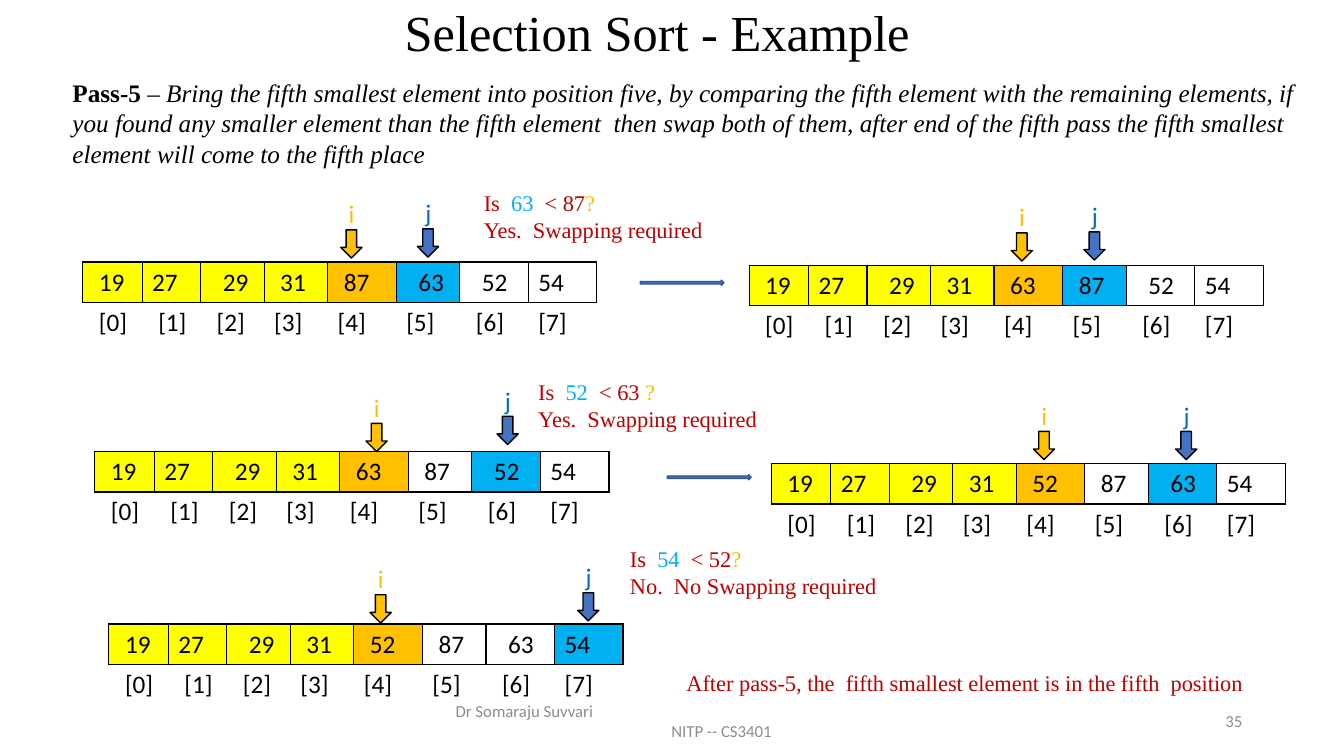
from lxml import etree
from pptx import Presentation
from pptx.dml.color import RGBColor
from pptx.enum.shapes import MSO_SHAPE
from pptx.enum.text import MSO_ANCHOR, MSO_AUTO_SIZE, PP_ALIGN
from pptx.oxml.ns import qn
from pptx.util import Inches, Pt

DOWN, RIGHT = MSO_SHAPE.DOWN_ARROW, MSO_SHAPE.RIGHT_ARROW
MIDDLE, NO_FIT = MSO_ANCHOR.MIDDLE, MSO_AUTO_SIZE.NONE
CENTER, END = PP_ALIGN.CENTER, PP_ALIGN.RIGHT

SERIF, SANS = "Times New Roman", "Calibri"
BLACK, WHITE, GREY = "000000", "FFFFFF", "8C8C8C"
YELLOW, ORANGE, SKY = "FFFF00", "FFC000", "00B0F0"
BLUE, NAVY, AZURE, RED = "4472C4", "325491", "0070C0", "C00000"

WIDTHS = [0.59, 0.58, 0.63, 0.63, 0.68, 0.63, 0.68, 0.68]
ROW = 0.4
SPACE = 0.06  # width of one indent step inside a cell
SMALL = 4     # position that pass five fills
VALUE_STEPS = [1, 0, 2, 1, 1, 1, 2, 0]
INDEX_STEPS = [1, 1, 1, 0, 0, 0, 1, 0]

# left, top, values from position four on, j, tip of i, tip of j
ARRAYS = [
    (0.82, 2.6, [87, 63, 52, 54], 5, (3.38, 2.28), (4.14, 2.27)),
    (7.43, 2.63, [63, 87, 52, 54], 5, (10.03, 2.31), (10.75, 2.3)),
    (0.94, 4.48, [63, 87, 52, 54], 6, (3.63, 4.2), (4.93, 4.13)),
    (7.65, 4.6, [52, 87, 63, 54], 6, (10.25, 4.28), (11.66, 4.28)),
    (1.08, 6.19, [52, 87, 63, 54], 7, (3.67, 5.9), (5.73, 5.88)),
]
# left, top, number at j, number at i, answer
CHECKS = [
    (4.7, 1.83, "63", "87", "Yes.  Swapping required"),
    (5.24, 3.7, "52", "63 ", "Yes.  Swapping required"),
    (6.15, 5.36, "54", "52", "No.  No Swapping required"),
]
SWAPS = [(6.35, 2.78), (6.62, 4.71)]
GOAL = ("Bring the fifth smallest element into position five, by comparing the "
        "fifth element with the remaining elements, if you found any smaller "
        "element than the fifth element  then swap both of them, after end of "
        "the fifth pass the fifth smallest element will come to the fifth place")


def color(text):
    return RGBColor.from_string(text)


def add_run(para, text, tint=BLACK, **font):
    run = para.add_run()
    run.text = text
    run.font.color.rgb = color(tint)
    for name, value in font.items():
        setattr(run.font, name, value)


def add_text(shapes, box, lines, size, face, **format):
    """Add a text box; each line is a list of (text, colour, extra font values)."""
    frame = shapes.add_textbox(*map(Inches, box)).text_frame
    frame.word_wrap = True
    for name, value in format.items():
        setattr(frame, name, value)
    for n, runs in enumerate(lines):
        para = frame.add_paragraph() if n else frame.paragraphs[0]
        for text, tint, extra in runs:
            add_run(para, text, tint, size=Pt(size), name=face, **extra)
    return frame


def add_arrow(shapes, kind, box, fill, line):
    arrow = shapes.add_shape(kind, *map(Inches, box))
    arrow.shadow.inherit = False
    arrow.fill.solid()
    arrow.fill.fore_color.rgb = color(fill)
    arrow.line.color.rgb = color(line)
    arrow.line.width = Pt(1)


def add_mark(slide, letter, spot, wide, fill, tint):
    """Add a down arrow with its index letter above it."""
    left, top = spot
    shapes = slide.shapes.add_group_shape().shapes
    add_arrow(shapes, DOWN, (left, top, 0.21, 0.28), fill, BLACK)
    add_text(shapes, (left - 0.02, top - 0.36, wide, 0.4),
             [[(letter, tint, {})]], 18, SANS)


def set_edges(cell, drawn):
    """Draw the sides named in drawn and clear the others."""
    props = cell._tc.get_or_add_tcPr()
    for side in "LRTB":
        line = etree.SubElement(props, qn("a:ln" + side), w=str(Pt(1)))
        if side in drawn:
            fill = etree.SubElement(line, qn("a:solidFill"))
            etree.SubElement(fill, qn("a:srgbClr"), val=BLACK)
        else:
            etree.SubElement(line, qn("a:noFill"))


def set_cell(cell, text, steps, edges, fill=None):
    cell.margin_left = Inches(0.1 + steps * SPACE)
    cell.margin_right = 0
    add_run(cell.text_frame.paragraphs[0], text, size=Pt(18), name=SANS, bold=False)
    set_edges(cell, edges)
    if fill:
        cell.fill.solid()
        cell.fill.fore_color.rgb = color(fill)
    else:
        cell.fill.background()


def add_array(slide, left, top, tail, j):
    box = left, top, sum(WIDTHS), 2 * ROW
    table = slide.shapes.add_table(2, len(WIDTHS), *map(Inches, box)).table
    table.first_row = table.horz_banding = False
    for row in table.rows:
        row.height = Inches(ROW)
    fills = [YELLOW] * SMALL + [ORANGE] + [WHITE] * 3
    fills[j] = SKY
    for n, value in enumerate([19, 27, 29, 31] + tail):
        table.columns[n].width = Inches(WIDTHS[n])
        steps = VALUE_STEPS[n] + (n == 5 and value == 63)
        set_cell(table.cell(0, n), str(value), steps, "LRTB", fills[n])
        set_cell(table.cell(1, n), f"[{n}]", INDEX_STEPS[n], "T")


def add_title(slide):
    title = slide.shapes.title
    place = {"left": 2.15, "top": 0.1, "width": 8.74, "height": 0.5}
    for name, value in place.items():
        setattr(title, name, Inches(value))
    frame = title.text_frame
    frame.auto_size, frame.vertical_anchor = NO_FIT, MIDDLE
    para = frame.paragraphs[0]
    para.alignment, para.line_spacing = CENTER, 0.9
    add_run(para, "Selection Sort - Example", size=Pt(36), name=SERIF)


def add_footer(slide):
    lines = [[("Dr Somaraju Suvvari", GREY, {})], [("NITP -- CS3401", GREY, {})]]
    foot = add_text(slide.shapes, (4.42, 6.95, 4.5, 0.4), lines, 12, SANS,
                    vertical_anchor=MIDDLE)
    foot.paragraphs[1]._p.get_or_add_pPr().set("marL", str(Inches(2.14)))
    page = add_text(slide.shapes, (9.42, 6.95, 3, 0.4), [[("35", GREY, {})]],
                    12, SANS, vertical_anchor=MIDDLE)
    page.paragraphs[0].alignment = END


def main():
    deck = Presentation()
    deck.slide_width, deck.slide_height = Inches(13.33), Inches(7.5)
    slide = deck.slides.add_slide(deck.slide_layouts[5])
    shapes = slide.shapes
    add_title(slide)
    intro = [("Pass-5 ", BLACK, {"bold": True}), ("– ", BLACK, {}),
             (GOAL, BLACK, {"italic": True})]
    add_text(shapes, (0.62, 0.72, 12.58, 1.01), [intro], 18, SERIF)
    for left, top, tail, j, i_spot, j_spot in ARRAYS:
        add_array(slide, left, top, tail, j)
        add_mark(slide, "i", i_spot, 0.51, ORANGE, ORANGE)
        add_mark(slide, "j", j_spot, 0.31, BLUE, AZURE)
    for left, top, new, old, answer in CHECKS:
        ask = [("Is", RED, {}), (f"  {new}  ", SKY, {}),
               (f"< {old}", RED, {}), ("?", ORANGE, {})]
        add_text(shapes, (left, top, 3.13, 0.64), [ask, [(answer, RED, {})]],
                 16, SERIF)
    for spot in SWAPS:
        add_arrow(shapes, RIGHT, (*spot, 0.83, 0.05), BLUE, NAVY)
    result = "After pass-5, the  fifth smallest element is in the fifth  position"
    add_text(shapes, (6.71, 6.59, 6.84, 0.37), [[(result, RED, {})]], 16, SERIF)
    add_footer(slide)
    deck.save("out.pptx")


if __name__ == "__main__":
    main()
